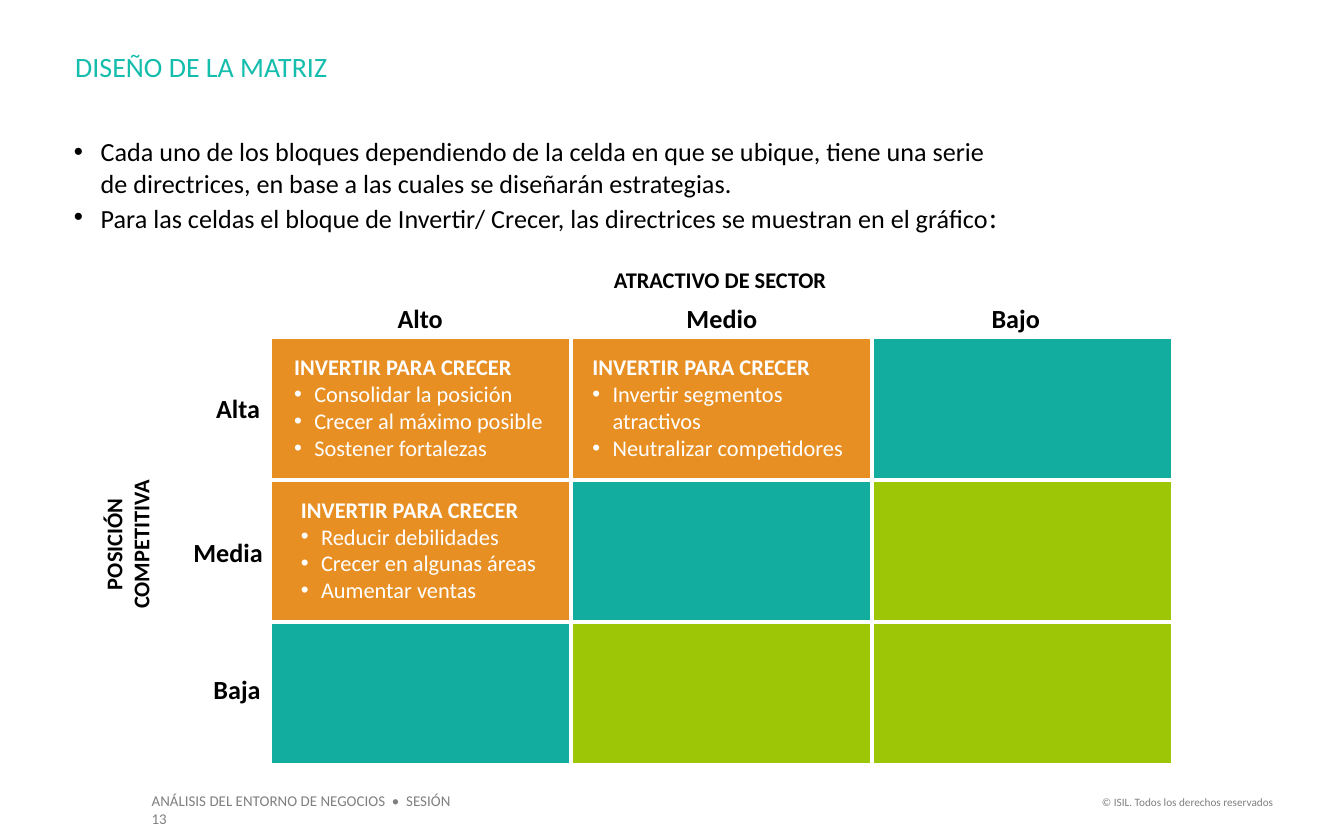
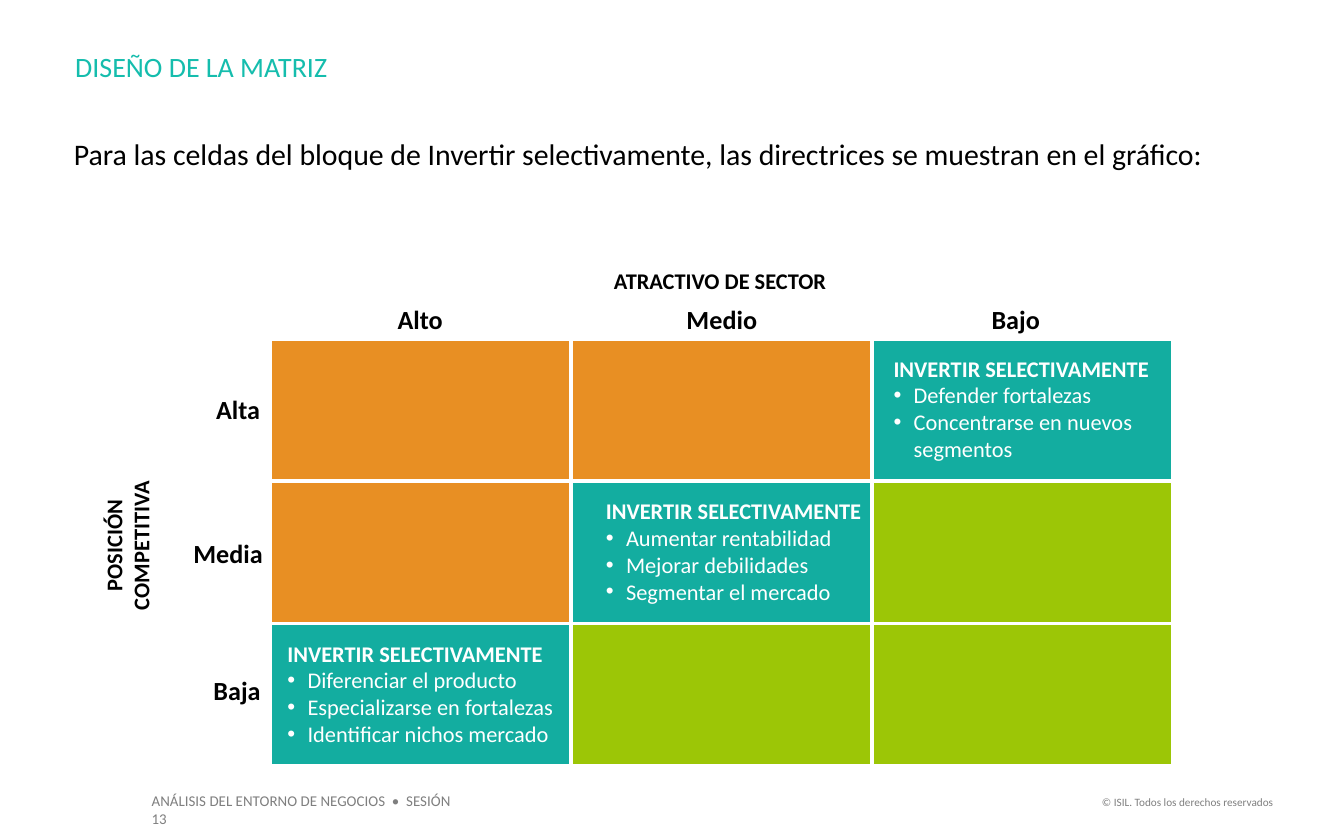
from lxml import etree
from pptx import Presentation
from pptx.dml.color import RGBColor
from pptx.enum.text import MSO_AUTO_SIZE, PP_ALIGN
from pptx.oxml.ns import qn
from pptx.util import Inches, Pt

FIT = MSO_AUTO_SIZE.SHAPE_TO_FIT_TEXT
LEFT, CENTER, RIGHT = PP_ALIGN.LEFT, PP_ALIGN.CENTER, PP_ALIGN.RIGHT

BLACK = RGBColor(0x00, 0x00, 0x00)
WHITE = RGBColor(0xFF, 0xFF, 0xFF)
GRAY = RGBColor(0x7F, 0x7F, 0x7F)
TITLE_TEAL = RGBColor(0x15, 0xBD, 0xAD)
ORANGE = RGBColor(0xE8, 0x8F, 0x23)
TEAL = RGBColor(0x13, 0xAD, 0xA0)
GREEN = RGBColor(0x9C, 0xC6, 0x06)

# Matrix grid: cells on the same diagonal share a colour
GRID_LEFT, COL, ROW, N = 2.01, 2.24, 1.06, 3
DIAGONAL_COLORS = [ORANGE, ORANGE, TEAL, GREEN, GREEN]
COLUMN_LABELS = [("Alto", 0.85, 0.54), ("Medio", 0.76, 0.73), ("Bajo", 0.79, 0.56)]
ROW_LABELS = [("Alta", 1.51, 0.36, 0.53), ("Media", 1.34, 0.37, 0.72),
              ("Baja", 1.49, 0.33, 0.56)]

GROW = "INVERTIR PARA CRECER"
SELECT = "INVERTIR SELECTIVAMENTE"

# Cell texts: row, column, offset within the cell, width, lines
SLIDES = [
    {
        "top": 2.51,
        "intro": ["Cada uno de los bloques dependiendo de la celda en que se ubique, "
                  "tiene una serie\vde directrices, en base a las cuales se diseñarán "
                  "estrategias.",
                  "Para las celdas el bloque de Invertir/ Crecer, las directrices se "
                  "muestran en el gráfico"],
        "intro_size": 14, "intro_height": 0.74, "intro_indent": 0.2, "intro_end": ":",
        "cells": [
            (0, 0, 0.08, 2.08, [GROW, "Consolidar la posición",
                                "Crecer al máximo posible", "Sostener fortalezas"]),
            (0, 1, 0.06, 2.12, [GROW, "Invertir segmentos atractivos",
                                "Neutralizar competidores"]),
            (1, 0, 0.13, 1.98, [GROW, "Reducir debilidades",
                                "Crecer en algunas áreas", "Aumentar ventas"]),
        ],
    },
    {
        "top": 2.52,
        "intro": ["Para las celdas del bloque de Invertir selectivamente, las directrices "
                  "se muestran en el gráfico:"],
        "intro_size": 16, "intro_height": 0.27, "intro_indent": 0, "intro_end": "",
        "cells": [
            (2, 0, 0.03, 2.21, [SELECT, "Diferenciar el producto",
                                "Especializarse en fortalezas", "Identificar nichos mercado"]),
            (0, 2, 0.06, 2.12, [SELECT, "Defender fortalezas",
                                "Concentrarse en nuevos segmentos"]),
            (1, 1, 0.16, 2.13, [SELECT, "Aumentar rentabilidad",
                                "Mejorar debilidades", "Segmentar el mercado"]),
        ],
    },
]


def add_text(s, box, lines, size, color=BLACK, bold=False, align=LEFT,
             margins=(0.1, 0.05), wrap=True, indent=0, first_bullet=0):
    """Add a text box; paragraphs from first_bullet on get bullets when indent is set."""
    sp = s.shapes.add_textbox(*map(Inches, box))
    tf = sp.text_frame
    tf.word_wrap = wrap
    tf.auto_size = FIT
    tf.margin_left = tf.margin_right = Inches(margins[0])
    tf.margin_top = tf.margin_bottom = Inches(margins[1])
    for i, line in enumerate(lines):
        p = tf.paragraphs[0] if i == 0 else tf.add_paragraph()
        p.text = line
        p.alignment = align
        if indent and i >= first_bullet:
            pPr = p._p.get_or_add_pPr()
            pPr.set("marL", str(Inches(indent)))
            pPr.set("indent", str(-Inches(indent)))
            clr = etree.SubElement(pPr, qn("a:buClr"))
            etree.SubElement(clr, qn("a:srgbClr"), val=str(color))
            etree.SubElement(pPr, qn("a:buFont"), typeface="Arial")
            etree.SubElement(pPr, qn("a:buChar"), char="•")
        for br in p._p.findall(qn("a:br")):
            etree.SubElement(br, qn("a:rPr"), sz=str(size * 100))
        for r in p.runs:
            r.font.name = "Calibri"
            r.font.size = Pt(size)
            r.font.bold = bold
            r.font.color.rgb = color
    return sp


def add_matrix(s, top):
    shape = s.shapes.add_table(N, N, Inches(GRID_LEFT), Inches(top),
                               Inches(N * COL), Inches(N * ROW))
    table = shape.table
    table.first_row = table.horz_banding = False
    for i in range(N):
        table.columns[i].width = Inches(COL)
        table.rows[i].height = Inches(ROW)
        for j in range(N):
            cell = table.cell(i, j)
            tcPr = cell._tc.get_or_add_tcPr()
            for side in ("lnL", "lnR", "lnT", "lnB"):
                ln = etree.SubElement(tcPr, qn(f"a:{side}"), w=str(Pt(2.25)))
                fill = etree.SubElement(ln, qn("a:solidFill"))
                etree.SubElement(fill, qn("a:srgbClr"), val=str(WHITE))
            cell.fill.solid()
            cell.fill.fore_color.rgb = DIAGONAL_COLORS[i + j]


prs = Presentation()
prs.slide_width, prs.slide_height = Inches(10), Inches(6.25)

for data in SLIDES:
    s = prs.slides.add_slide(prs.slide_layouts[6])
    top = data["top"]

    # Footer and title
    add_text(s, (1.03, 5.84, 2.56, 0.24),
             ["ANÁLISIS DEL ENTORNO DE NEGOCIOS  •  SESIÓN 13"], 8, GRAY)
    add_text(s, (8.05, 5.87, 1.52, 0.2),
             ["© ISIL. Todos los derechos reservados"], 6, GRAY, align=RIGHT)
    add_text(s, (0.56, 0.37, 4.53, 0.25), ["DISEÑO DE LA MATRIZ"], 15, TITLE_TEAL,
             margins=(0, 0))

    # Introduction
    sp = add_text(s, (0.55, 1.01, 8.94, data["intro_height"]), data["intro"],
                  data["intro_size"], margins=(0, 0), indent=data["intro_indent"])
    if data["intro_end"]:
        r = sp.text_frame.paragraphs[-1].add_run()
        r.text = data["intro_end"]
        r.font.name = "Calibri"
        r.font.size = Pt(16)
        r.font.color.rgb = BLACK

    # Matrix with its axis titles and labels
    add_matrix(s, top)
    add_text(s, (4.47, top - 0.58, 1.8, 0.3), ["ATRACTIVO DE SECTOR"], 12, bold=True,
             wrap=False)
    sp = add_text(s, (0.29, top + 1.29, 1.31, 0.5), ["POSICIÓN COMPETITIVA"], 12,
                  bold=True, align=CENTER)
    sp.rotation = 270
    for j, (label, dx, width) in enumerate(COLUMN_LABELS):
        add_text(s, (GRID_LEFT + j * COL + dx, top - 0.31, width, 0.34), [label], 14,
                 bold=True, wrap=False)
    for i, (label, left, dy, width) in enumerate(ROW_LABELS):
        add_text(s, (left, top + i * ROW + dy, width, 0.34), [label], 14,
                 bold=True, wrap=False)

    # Guidelines inside the cells
    for i, j, dx, width, lines in data["cells"]:
        sp = add_text(s, (GRID_LEFT + j * COL + dx, top + i * ROW + 0.07, width, 0.91),
                      lines, 12, WHITE, indent=0.15, first_bullet=1)
        sp.text_frame.paragraphs[0].runs[0].font.bold = True

prs.save("out.pptx")
